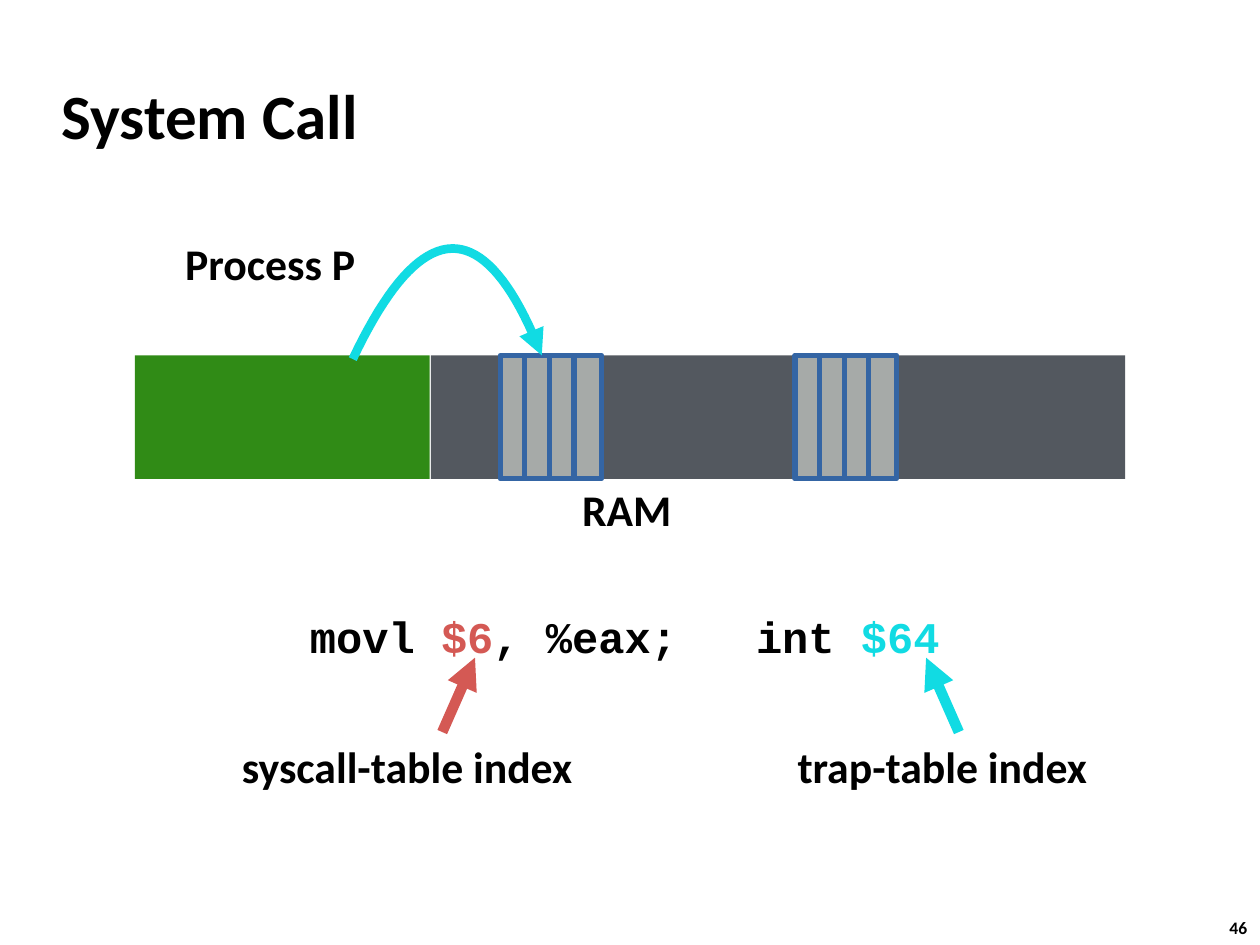
"""Builds the System Call slide: RAM layout with trap and syscall table indexes."""
from lxml import etree
from pptx import Presentation
from pptx.dml.color import RGBColor
from pptx.enum.shapes import MSO_CONNECTOR, MSO_SHAPE
from pptx.enum.text import MSO_ANCHOR, MSO_AUTO_SIZE
from pptx.oxml.ns import qn
from pptx.util import Inches, Pt

RECT = MSO_SHAPE.RECTANGLE
STRAIGHT = MSO_CONNECTOR.STRAIGHT
MIDDLE = MSO_ANCHOR.MIDDLE
GROW = MSO_AUTO_SIZE.SHAPE_TO_FIT_TEXT

THEME = {
    "sans": "Calibri", "mono": "Courier New",
    "title": 36, "body": 25, "number": 10,
    "ink": "000000", "process": "308B16", "kernel": "53585F",
    "cell": "A6AAA8", "border": "3465A4", "syscall": "D45954", "trap": "11DBE3",
}

TITLE = ("System Call", (0.39, 0.49, 8.3, 0.83))
NUMBER = ("46", (9.66, 7.23, 0.37, 0.27))
LABELS = [
    ("RAM", (4.58, 3.79, 0.8, 0.5)),
    ("Process P", (1.43, 1.84, 1.47, 0.5)),
    ("trap-table index", (6.29, 5.83, 2.4, 0.5)),
    ("syscall-table index", (1.88, 5.83, 2.73, 0.5)),
]
CODE_BOX = (2.42, 4.8, 5.13, 0.5)
CODE = [("movl ", "ink"), ("$6", "syscall"), (", %eax;\tint ", "ink"), ("$64", "trap")]
CODE_TAB = 3.54

RAM_TOP, RAM_HEIGHT = 2.82, 0.98
REGIONS = [(1.07, 2.34, "process"), (3.42, 5.51, "kernel")]
TABLE_LEFTS = [3.97, 6.31]
CELLS, CELL_WIDTH, CELL_STEP = 4, 0.22, 0.195

POINTERS = [((7.61, 5.81), (7.35, 5.22), "trap"), ((3.51, 5.81), (3.77, 5.22), "syscall")]
JUMP = [(2.8, 2.85), (3.35, 1.69), (3.85, 1.68), (4.3, 2.82)]
JUMP_STEPS = 40


def color(name):
    return RGBColor.from_string(THEME[name])


def add_text(s, runs, box, size, font="sans", inset=None, wrap=False):
    tb = s.shapes.add_textbox(*map(Inches, box))
    tf = tb.text_frame
    tf.word_wrap = wrap
    if inset is not None:
        tf.vertical_anchor = MIDDLE
        tf.margin_left = tf.margin_right = Inches(inset)
        tf.margin_top = tf.margin_bottom = Inches(0.04)
    if not wrap:
        tf.auto_size = GROW
    p = tf.paragraphs[0]
    for text, ink in runs:
        r = p.add_run()
        r.text = text
        r.font.name = THEME[font]
        r.font.size = Pt(THEME[size])
        r.font.bold = True
        r.font.color.rgb = color(ink)
    return p


def add_block(s, left, width, fill, border=None):
    sp = s.shapes.add_shape(RECT, *map(Inches, (left, RAM_TOP, width, RAM_HEIGHT)))
    sp.shadow.inherit = False
    sp.fill.solid()
    sp.fill.fore_color.rgb = color(fill)
    if border:
        sp.line.color.rgb = color(border)
        sp.line.width = Pt(3)
    else:
        sp.line.fill.background()


def style_arrow(line, ink, width):
    line.color.rgb = color(ink)
    line.width = Pt(width)
    etree.SubElement(line._get_or_add_ln(), qn("a:tailEnd"), type="triangle")


def add_pointer(s, start, end, ink):
    c = s.shapes.add_connector(STRAIGHT, *map(Inches, start + end))
    style_arrow(c.line, ink, 6)
    etree.SubElement(c._element.spPr, qn("a:effectLst"))


def bezier(t):
    weights = ((1 - t) ** 3, 3 * t * (1 - t) ** 2, 3 * t * t * (1 - t), t ** 3)
    return tuple(Inches(sum(w * v for w, v in zip(weights, axis))) for axis in zip(*JUMP))


def add_jump(s):
    points = [bezier(i / JUMP_STEPS) for i in range(JUMP_STEPS + 1)]
    fb = s.shapes.build_freeform(*points[0])
    fb.add_line_segments(points[1:], close=False)
    sp = fb.convert_to_shape()
    sp.fill.background()
    style_arrow(sp.line, "trap", 5)
    sp.shadow.inherit = False


def main():
    prs = Presentation()
    prs.slide_width, prs.slide_height = Inches(10), Inches(7.5)
    s = prs.slides.add_slide(prs.slide_layouts[6])

    for region in REGIONS:
        add_block(s, *region)
    for left in TABLE_LEFTS:
        for i in range(CELLS):
            add_block(s, left + i * CELL_STEP, CELL_WIDTH, "cell", "border")
    for pointer in POINTERS:
        add_pointer(s, *pointer)
    add_jump(s)

    for text, box in LABELS:
        add_text(s, [(text, "ink")], box, "body", inset=0.04)
    text, box = TITLE
    add_text(s, [(text, "ink")], box, "title", inset=0.1, wrap=True)
    text, box = NUMBER
    add_text(s, [(text, "ink")], box, "number")

    p = add_text(s, CODE, CODE_BOX, "body", "mono", 0.04, True)
    tabs = etree.SubElement(p._p.get_or_add_pPr(), qn("a:tabLst"))
    etree.SubElement(tabs, qn("a:tab"), pos=str(Inches(CODE_TAB)), algn="l")

    prs.save("out.pptx")


if __name__ == "__main__":
    main()
